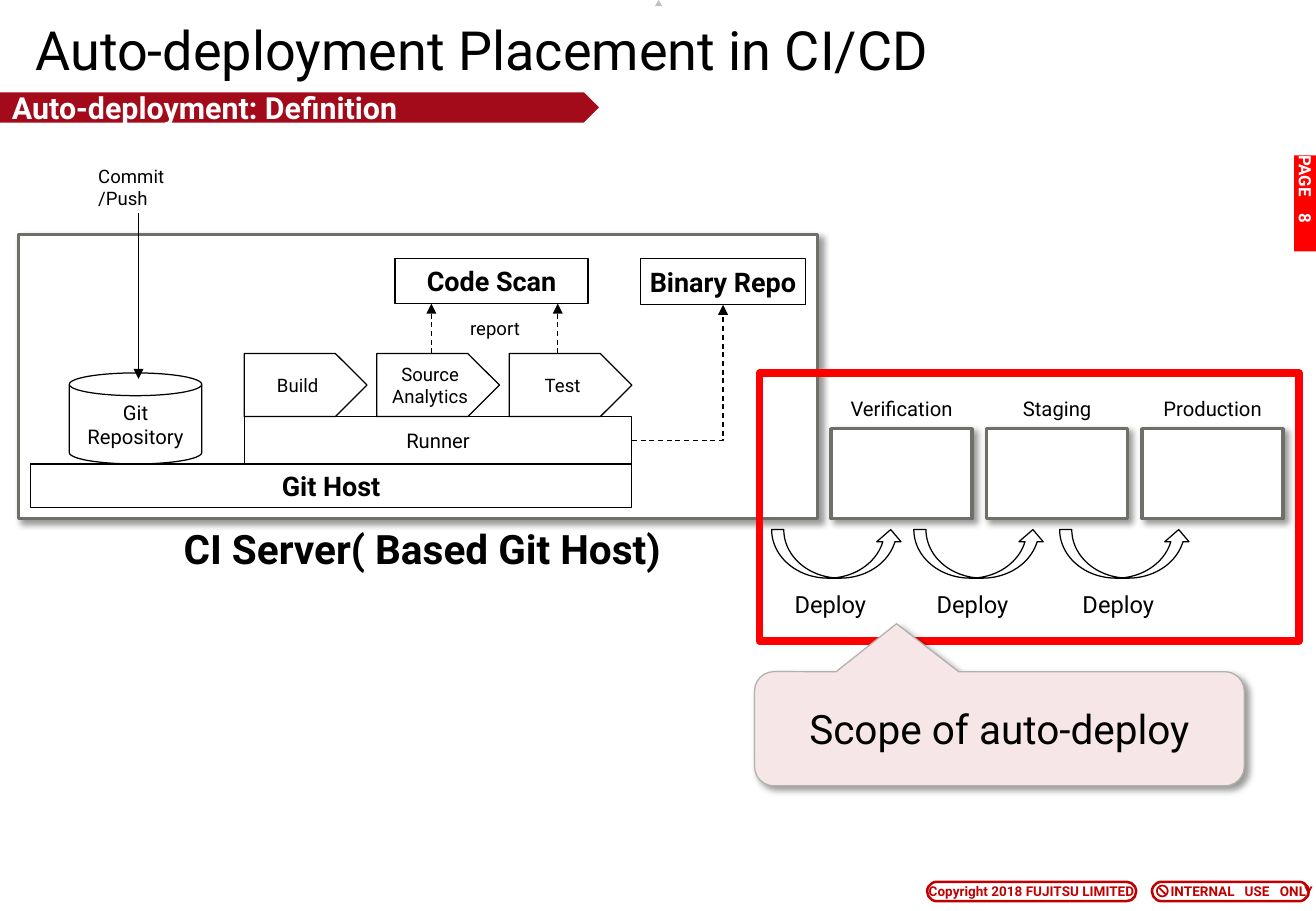
from lxml import etree
from pptx import Presentation
from pptx.dml.color import RGBColor
from pptx.enum.dml import MSO_LINE
from pptx.enum.shapes import MSO_CONNECTOR, MSO_SHAPE
from pptx.enum.text import MSO_ANCHOR, MSO_AUTO_SIZE, PP_ALIGN
from pptx.oxml import parse_xml
from pptx.oxml.ns import nsdecls, qn
from pptx.util import Inches, Pt

RECT, PLATE, CAN = MSO_SHAPE.RECTANGLE, MSO_SHAPE.PENTAGON, MSO_SHAPE.CAN
PILL, OVAL = MSO_SHAPE.ROUNDED_RECTANGLE, MSO_SHAPE.OVAL
ARROW, CURVE = MSO_SHAPE.RIGHT_ARROW, MSO_SHAPE.CURVED_RIGHT_ARROW
CALLOUT, PEAK = MSO_SHAPE.ROUNDED_RECTANGULAR_CALLOUT, MSO_SHAPE.ISOSCELES_TRIANGLE
LINE, ELBOW = MSO_CONNECTOR.STRAIGHT, MSO_CONNECTOR.ELBOW
LEFT, MID = PP_ALIGN.LEFT, PP_ALIGN.CENTER
DASH = MSO_LINE.DASH

HUES = {"black": "000000", "white": "FFFFFF", "red": "FF0000", "wine": "A30B1A",
        "seal": "C00000", "grey": "706F67", "ash": "B1B1AC", "pink": "F6E6E8",
        "silver": "C0C0C0"}
RGB = {name: RGBColor.from_string(code) for name, code in HUES.items()}
SHADE = (f'<a:effectLst {nsdecls("a")}><a:outerShdw blurRad="50800" dist="38100" '
         'dir="2700000" algn="tl" rotWithShape="0"><a:srgbClr val="000000">'
         '<a:alpha val="40000"/></a:srgbClr></a:outerShdw></a:effectLst>')


def write(shape, text, size=11, color="black", bold=False, align=MID, wrap=False,
          pad=(0.1, 0.05, 0.1, 0.05), tabs=()):
    frame = shape.text_frame
    frame.text = text
    frame.word_wrap = wrap
    frame.auto_size = MSO_AUTO_SIZE.NONE
    frame.vertical_anchor = MSO_ANCHOR.MIDDLE
    (frame.margin_left, frame.margin_top,
     frame.margin_right, frame.margin_bottom) = map(Inches, pad)
    for para in frame.paragraphs:
        para.alignment = align
        if tabs:
            stops = etree.SubElement(para._p.get_or_add_pPr(), qn("a:tabLst"))
            for stop in tabs:
                etree.SubElement(stops, qn("a:tab"), pos=str(Inches(stop)), algn="l")
        for run in para.runs:
            font = run.font
            font.name, font.size, font.bold = "Roboto", Pt(size), bold
            font.color.rgb = RGB[color]


def draw(kind, box, fill=None, line="black", width=0.75, adj=(), turn=0, shade=False):
    shape = slide.shapes.add_shape(kind, *map(Inches, box))
    shape.shadow.inherit = False
    if shade:
        props = shape._element.spPr
        props.replace(props.find(qn("a:effectLst")), parse_xml(SHADE))
    if fill:
        shape.fill.solid()
        shape.fill.fore_color.rgb = RGB[fill]
    else:
        shape.fill.background()
    if line:
        shape.line.color.rgb = RGB[line]
        shape.line.width = Pt(width)
    else:
        shape.line.fill.background()
    for i, value in enumerate(adj):
        shape.adjustments[i] = value
    shape.rotation = turn
    return shape


deck = Presentation()
deck.slide_width, deck.slide_height = Inches(10.83), Inches(7.5)
slide = deck.slides.add_slide(deck.slide_layouts[5])

# Title and banner
title = slide.shapes.title
title.left, title.top, title.width, title.height = map(Inches, (0.19, 0.19, 9.17, 0.43))
write(title, "Auto-deployment Placement in CI/CD", size=32, align=LEFT, wrap=True)
draw(PEAK, (5.39, 0, 0.06, 0.05), fill="silver", line=None)
banner = draw(ARROW, (0, 0.76, 4.93, 0.25), fill="wine", line=None, adj=(1, 0.5))
write(banner, "Auto-deployment: Definition", size=18, color="white", bold=True,
      align=LEFT, wrap=True)

# Footer marks
note = draw(PILL, (9.48, 7.26, 1.29, 0.16), "white", "seal", 1.5, (0.5,))
write(note, "INTERNAL\tUSE\tONLY", size=8, color="seal", bold=True, align=LEFT,
      pad=(0.13, 0.05, 0, 0.05), tabs=(0.61, 0.9))
draw(OVAL, (9.52, 7.29, 0.09, 0.09), "white", "seal", 1)
rights = draw(PILL, (7.63, 7.26, 1.72, 0.16), "white", "seal", 1.5, (0.5,))
write(rights, "Copyright 2018 FUJITSU LIMITED", size=8, color="seal", bold=True)

# Server frame and deployment targets
frames = [(0.15, 1.93, 6.58, 2.34)] + [(6.84 + 1.28 * i, 3.53, 1.16, 0.74) for i in range(3)]
for box in frames:
    draw(RECT, box, "white", "grey", 2, shade=True)

# Parts inside the server
parts = {}
for kind, box, text, size, bold in (
        (CAN, (0.57, 3.07, 1.09, 0.75), "Git\nRepository", 12, False),
        (RECT, (2.01, 3.43, 3.19, 0.39), "Runner", 12, False),
        (RECT, (5.27, 2.13, 1.36, 0.38), "Binary Repo", 16, True),
        (RECT, (0.25, 3.82, 4.95, 0.36), "Git Host", 16, True),
        (RECT, (3.25, 2.13, 1.59, 0.37), "Code Scan", 16, True)):
    parts[text] = draw(kind, box)
    write(parts[text], text, size=size, bold=bold)
for i, text in enumerate(("Build", "Source\nAnalytics", "Test")):
    write(draw(PLATE, (2.01 + 1.09 * i, 2.91, 1.01, 0.52)), text)

# Curved deploy arrows
swings = (6.69, 7.86, 9.06)
for x in swings:
    draw(CURVE, (x, 4.02, 0.4, 1.08), turn=270)

# Labels
labels = [((0.22, 4.27, 6.51, 0.48), "CI Server( Based Git Host)", dict(size=24, bold=True)),
          ((0.71, 1.32, 0.82, 0.44), "Commit\n/Push", dict(align=LEFT)),
          ((3.77, 2.59, 0.61, 0.22), "report", dict(align=LEFT))]
labels += [((x - 0.25, 4.83, 0.89, 0.28), "Deploy", dict(size=14, align=LEFT, wrap=True))
           for x in swings]
labels += [((6.84 + 1.28 * i, 3.22, 1.16, 0.28), text, dict(size=12, wrap=True))
           for i, text in enumerate(("Verification", "Staging", "Production"))]
for box, text, style in labels:
    write(slide.shapes.add_textbox(*map(Inches, box)), text, **style)

# Lines and arrows
links = []
for kind, ends, color, width, dash, head in (
        (LINE, (9.54, 7.31, 9.6, 7.37), "seal", 1, None, False),
        (LINE, (1.14, 1.75, 1.14, 3.12), "black", 0.75, None, True),
        (LINE, (3.55, 2.91, 3.55, 2.5), "black", 0.75, DASH, True),
        (LINE, (4.59, 2.91, 4.59, 2.5), "black", 0.75, DASH, True),
        (ELBOW, (5.2, 3.63, 5.95, 2.51), "black", 0.75, DASH, True)):
    link = slide.shapes.add_connector(kind, *map(Inches, ends))
    link.line.color.rgb = RGB[color]
    link.line.width = Pt(width)
    if dash:
        link.line.dash_style = dash
    if head:
        etree.SubElement(link.line._get_or_add_ln(), qn("a:tailEnd"), type="triangle")
    etree.SubElement(link._element.spPr, qn("a:effectLst"))
    links.append(link)
bend = links[-1]
bend._element.spPr.find(qn("a:prstGeom")).set("prst", "bentConnector2")
bend.begin_connect(parts["Runner"], 3)
bend.end_connect(parts["Binary Repo"], 2)

# Scope frame and callout
draw(RECT, (6.25, 3.07, 4.44, 2.21), line="red", width=4.5)
scope = draw(CALLOUT, (6.21, 5.53, 4.03, 0.94), "pink", "ash",
             adj=(-0.21, -0.92, 0.17), shade=True)
write(scope, "Scope of auto-deploy", size=24)

# Page tab
page = draw(RECT, (10.35, 1.58, 0.79, 0.19), fill="red", line=None, turn=90)
write(page, "PAGE\t8", size=10, color="white", bold=True, align=LEFT,
      pad=(0, 0, 0, 0), tabs=(0.48,))

deck.save("out.pptx")
